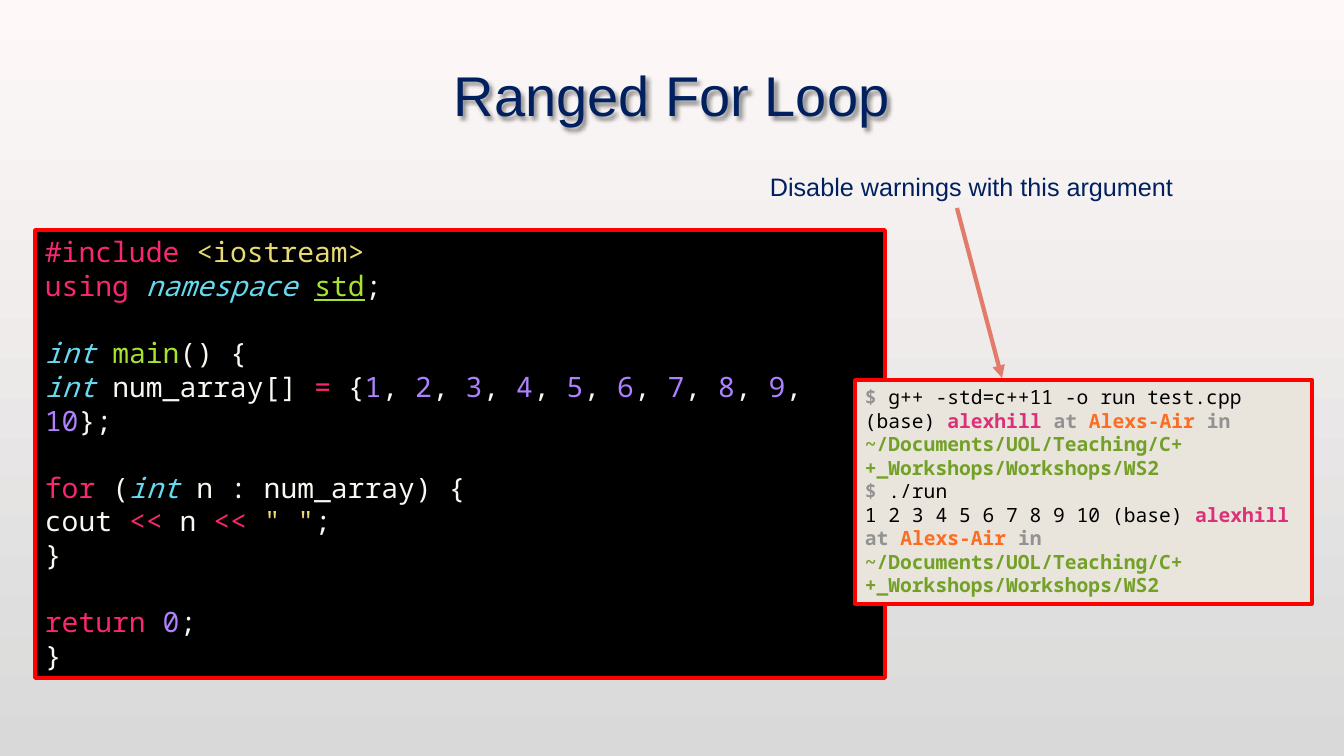
from lxml import etree
from pptx import Presentation
from pptx import util as u
from pptx.dml.color import RGBColor
from pptx.enum import shapes, text
from pptx.oxml import parse_xml
from pptx.oxml.ns import nsdecls, qn

EMU_PER_PX = 914400 / 100.8


def px(length):
    return u.Emu(round(length * EMU_PER_PX))


def rgb(value):
    return RGBColor.from_string(value)


class SlideBuilder:
    navy = "002060"
    mono = "Noto Sans Mono"
    sans = "Arial"

    def __init__(self, deck):
        self.slide = deck.slides.add_slide(deck.slide_layouts[6])

    def background(self, top, bottom):
        fill = self.slide.background.fill
        fill.gradient()
        fill.gradient_angle = 270
        for stop, position, color in zip(fill.gradient_stops, (0, 1), (top, bottom)):
            stop.position = position
            stop.color.rgb = rgb(color)

    def add_words(self, paragraph, words, color, **formats):
        run = paragraph.add_run()
        run.text = words
        run.font.color.rgb = rgb(color)
        for name, value in formats.items():
            setattr(run.font, name, value)

    def label(self, box, words, size, align=text.PP_ALIGN.LEFT, anchor=text.MSO_ANCHOR.TOP):
        holder = self.slide.shapes.add_textbox(*map(px, box))
        frame = holder.text_frame
        frame.word_wrap = True
        frame.vertical_anchor = anchor
        paragraph = frame.paragraphs[0]
        paragraph.alignment = align
        self.add_words(paragraph, words, self.navy, name=self.sans, size=u.Pt(size))
        return holder

    def title(self, box, words):
        heading = self.label(box, words, 40, text.PP_ALIGN.CENTER, text.MSO_ANCHOR.MIDDLE)
        heading._element.spPr.append(parse_xml(
            f'<a:effectLst {nsdecls("a")}><a:outerShdw blurRad="38100" dist="25400" '
            'dir="2700000" algn="tl"><a:srgbClr val="000000"><a:alpha val="45000"/>'
            '</a:srgbClr></a:outerShdw></a:effectLst>'))

    def console(self, box, fill, size, palette, lines, gaps=()):
        panel = self.slide.shapes.add_shape(shapes.MSO_SHAPE.RECTANGLE, *map(px, box))
        panel.shadow.inherit = False
        panel.fill.solid()
        panel.fill.fore_color.rgb = rgb(fill)
        panel.line.color.rgb = rgb("FF0000")
        panel.line.width = u.Pt(2.5)
        frame = panel.text_frame
        frame.word_wrap = True
        frame.vertical_anchor = text.MSO_ANCHOR.TOP
        for index, line in enumerate(lines):
            paragraph = frame.add_paragraph() if index else frame.paragraphs[0]
            paragraph.alignment = text.PP_ALIGN.LEFT
            if index in gaps:
                paragraph.space_before = u.Pt(size * 1.2)
            for role, words in line:
                color, formats = palette[role]
                self.add_words(paragraph, words, color, name=self.mono, size=u.Pt(size), **formats)

    def arrow(self, start, end, color, width):
        pointer = self.slide.shapes.add_connector(
            shapes.MSO_CONNECTOR.STRAIGHT, *map(px, start + end))
        pointer.line.color.rgb = rgb(color)
        pointer.line.width = u.Pt(width)
        outline = pointer._element.spPr.find(qn("a:ln"))
        etree.SubElement(outline, qn("a:tailEnd"), type="triangle")
        etree.SubElement(pointer._element.spPr, qn("a:effectLst"))


CODE_PALETTE = {
    "keyword": ("F92672", {}),
    "string": ("E6DB74", {}),
    "type": ("66D9EF", {"italic": True}),
    "function": ("A6E22E", {}),
    "namespace": ("A6E22E", {"underline": True}),
    "number": ("AE81FF", {}),
    "plain": ("F8F8F2", {}),
}
TERMINAL_PALETTE = {
    "plain": ("000000", {}),
    "muted": ("929292", {"bold": True}),
    "user": ("DC3079", {"bold": True}),
    "host": ("FC6C23", {"bold": True}),
    "folder": ("73A027", {"bold": True}),
}


def array_items(last):
    items = [("number", "1")]
    for number in range(2, last + 1):
        items += [("plain", ", "), ("number", str(number))]
    return items


CODE = [
    [("keyword", "#include "), ("string", "<iostream>")],
    [("keyword", "using "), ("type", "namespace "), ("namespace", "std"), ("plain", ";")],
    [("type", "int "), ("function", "main"), ("plain", "() {")],
    [("type", "int "), ("plain", "num_array[] "), ("keyword", "="), ("plain", " {"),
     *array_items(10), ("plain", "};")],
    [("keyword", "for"), ("plain", " ("), ("type", "int"), ("plain", " n : num_array) {")],
    [("plain", "cout "), ("keyword", "<<"), ("plain", " n "), ("keyword", "<< "),
     ("string", '" "'), ("plain", ";")],
    [("plain", "}")],
    [("keyword", "return "), ("number", "0"), ("plain", ";")],
    [("plain", "}")],
]
PROMPT = [("user", "alexhill "), ("muted", "at "), ("host", "Alexs-Air "), ("muted", "in "),
          ("folder", "~/Documents/UOL/Teaching/C++_Workshops/Workshops/WS2")]
TERMINAL = [
    [("muted", "$ "), ("plain", "g++ -std=c++11 -o run test.cpp")],
    [("plain", "(base) "), *PROMPT],
    [("muted", "$ "), ("plain", "./run")],
    [("plain", "1 2 3 4 5 6 7 8 9 10 (base) "), *PROMPT],
]


def main():
    deck = Presentation()
    deck.slide_width, deck.slide_height = px(1344), px(756)
    builder = SlideBuilder(deck)
    builder.background("FEF9F8", "D9D9D9")
    builder.console((35, 230, 850, 448), "000000", 20, CODE_PALETTE, CODE, gaps=(2, 4, 7))
    builder.title((101, 25, 1141, 139), "Ranged For Loop")
    builder.console((855, 380, 457, 224), "E9E5DC", 14, TERMINAL_PALETTE, TERMINAL)
    builder.arrow((957, 208), (1002, 378), "E27B6A", 3)
    builder.label((760, 166, 484, 40), "Disable warnings with this argument", 18)
    deck.save("out.pptx")


if __name__ == "__main__":
    main()
